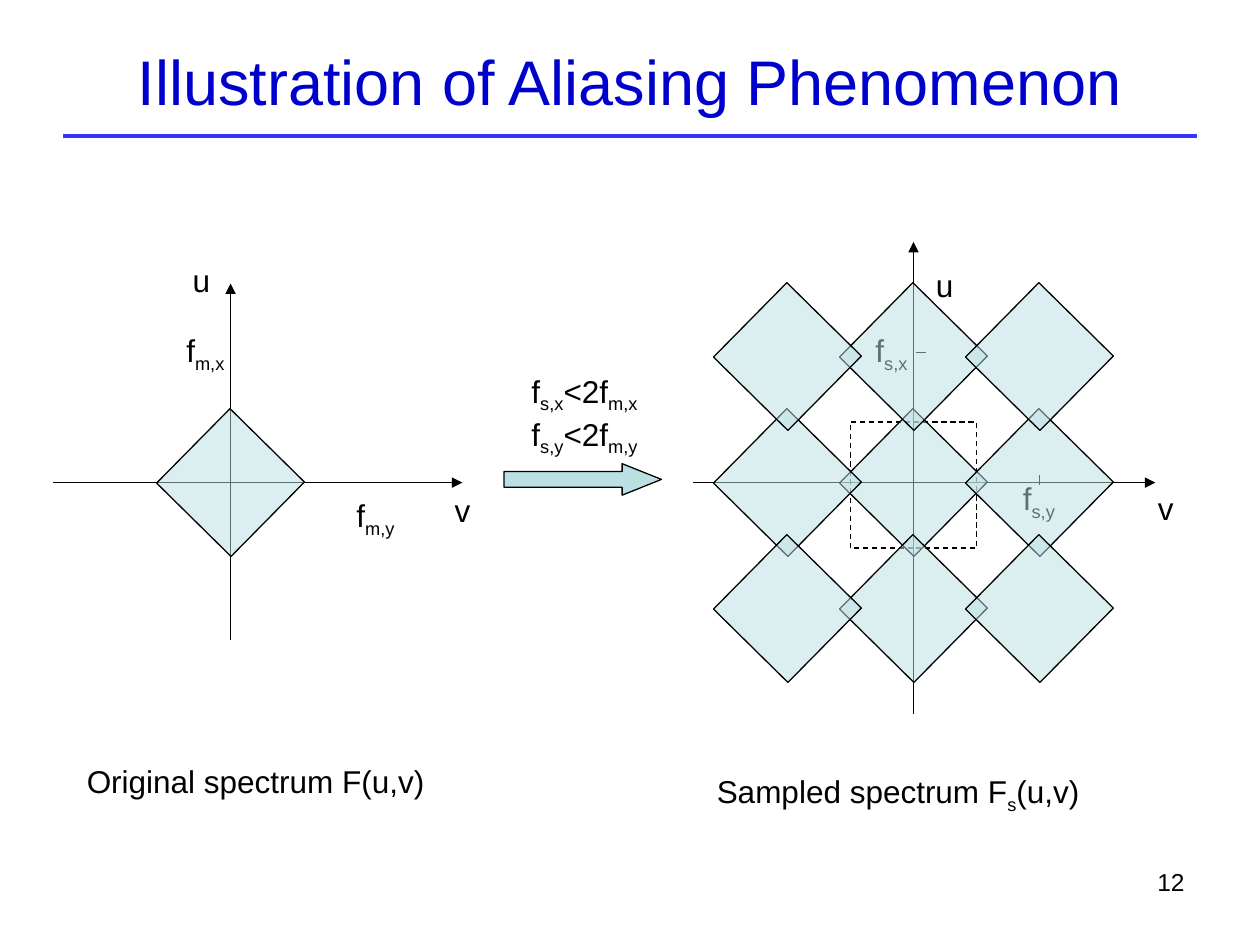
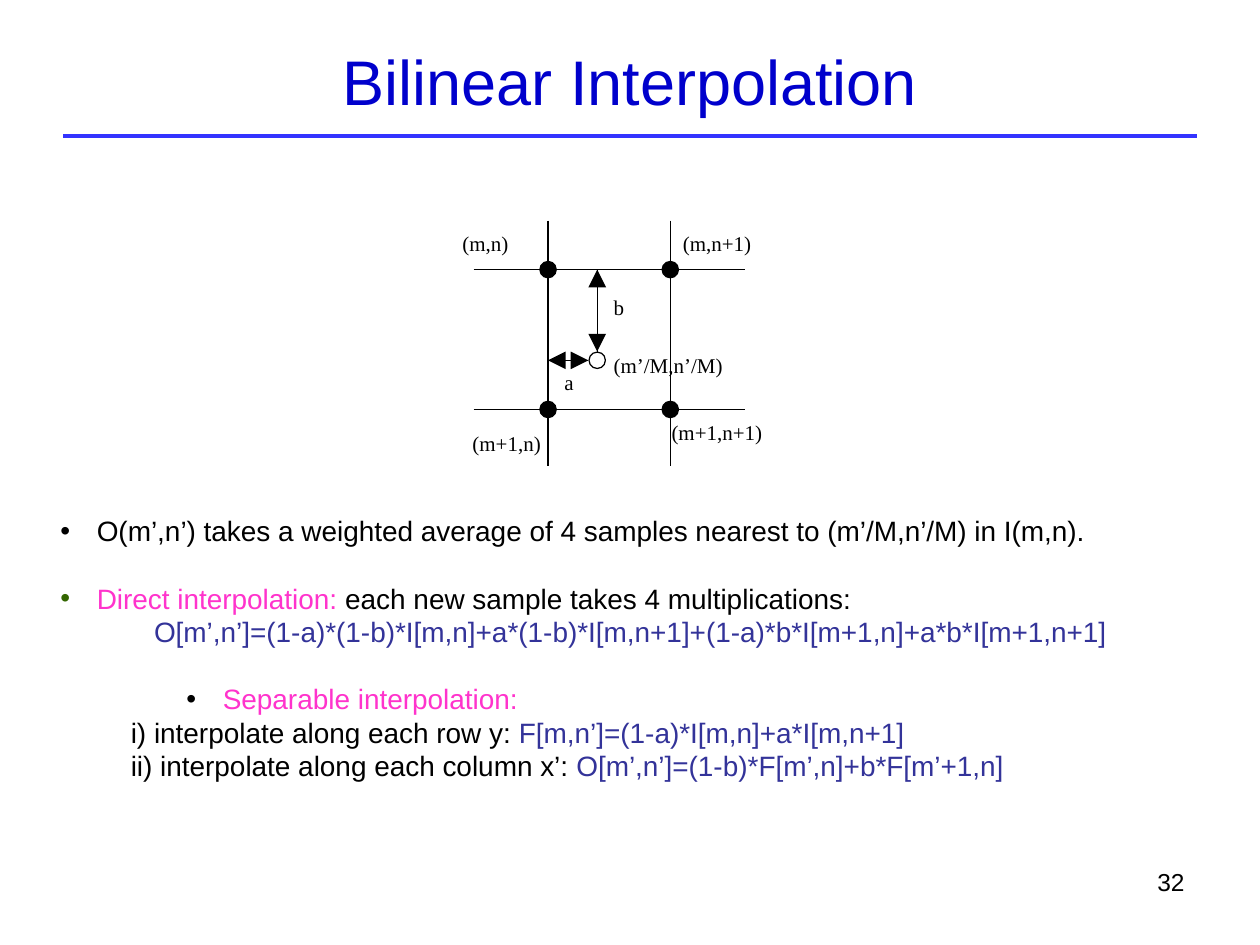
import pptx
import pptx.dml.color
import pptx.enum.dml
import pptx.enum.shapes
import pptx.enum.text
import pptx.oxml.ns
import pptx.util
from lxml import etree

Inches = pptx.util.Inches
Pt = pptx.util.Pt
Align = pptx.enum.text.PP_ALIGN
Preset = pptx.enum.shapes.MSO_SHAPE
qn = pptx.oxml.ns.qn

COLORS = {
    "title": "0000CC",
    "rule": "3333FF",
    "ink": "000000",
    "paper": "FFFFFF",
    "spectrum": "BBE0E3",
    "term": "FF33CC",
    "formula": "333399",
    "bullet": "336600",
}
SANS = "Arial"
SERIF = "Times New Roman"
LINE_PITCH = 19.2
THIN = 0.71


def rgb(color):
    return pptx.dml.color.RGBColor.from_string(COLORS[color])


def style_run(run, size, font=SANS, color="ink"):
    run.font.size = Pt(size)
    run.font.name = font
    run.font.color.rgb = rgb(color)


def add_text_frame(slide, left, top, width, height, margins=(0.1, 0.05), wrap=False):
    text_box = slide.shapes.add_textbox(
        Inches(left), Inches(top), Inches(width), Inches(height))
    text_frame = text_box.text_frame
    text_frame.word_wrap = wrap
    if not wrap:
        text_frame.auto_size = pptx.enum.text.MSO_AUTO_SIZE.SHAPE_TO_FIT_TEXT
    text_frame.margin_left = text_frame.margin_right = Inches(margins[0])
    text_frame.margin_top = text_frame.margin_bottom = Inches(margins[1])
    return text_frame


def add_line(slide, start, end, width=0.75, color="ink", arrow=False):
    connector = slide.shapes.add_connector(
        pptx.enum.shapes.MSO_CONNECTOR.STRAIGHT,
        *(Inches(value) for value in (*start, *end)))
    connector.line.color.rgb = rgb(color)
    connector.line.width = Pt(width)
    properties = connector._element.spPr
    if arrow:
        etree.SubElement(properties.find(qn("a:ln")), qn("a:tailEnd"), type="triangle")
    etree.SubElement(properties, qn("a:effectLst"))


def add_shape(slide, preset, left, top, width, height, fill=None, line_width=0.75):
    shape = slide.shapes.add_shape(
        preset, Inches(left), Inches(top), Inches(width), Inches(height))
    shape.shadow.inherit = False
    if fill:
        shape.fill.solid()
        shape.fill.fore_color.rgb = rgb(fill)
    else:
        shape.fill.background()
    shape.line.color.rgb = rgb("ink")
    shape.line.width = Pt(line_width)
    return shape


def add_label(slide, left, top, width, *lines):
    """Text between bars is set as a subscript."""
    text_frame = add_text_frame(slide, left, top, width, 0.4 * len(lines))
    for index, line in enumerate(lines):
        paragraph = text_frame.paragraphs[0] if index == 0 else text_frame.add_paragraph()
        for position, part in enumerate(line.split("|")):
            if part:
                run = paragraph.add_run()
                run.text = part
                style_run(run, 18)
                if position % 2:
                    run._r.get_or_add_rPr().set("baseline", "-25000")


def add_grid_label(slide, left, top, width, text):
    text_frame = add_text_frame(slide, left, top, width, 0.2, margins=(0, 0))
    text_frame.text = text
    style_run(text_frame.paragraphs[0].runs[0], 12, SERIF)


def add_diamond(slide, center_x, center_y, side=0.83):
    diamond = add_shape(slide, Preset.RECTANGLE, center_x - side / 2,
                        center_y - side / 2, side, side, "spectrum")
    diamond.rotation = 314.6
    color = diamond._element.spPr.find(qn("a:solidFill")).find(qn("a:srgbClr"))
    etree.SubElement(color, qn("a:alpha"), val="50000")


def add_dot(slide, center_x, center_y, fill, size=0.13):
    add_shape(slide, Preset.OVAL, center_x - size / 2, center_y - size / 2,
              size, size, fill, THIN)


def add_arrowhead(slide, tip, direction, length=0.14):
    x, y = tip
    dx, dy = direction
    base_x, base_y = x - dx * length, y - dy * length
    half = length / 2
    corners = [(base_x + sign * dy * half, base_y + sign * dx * half) for sign in (1, -1)]
    builder = slide.shapes.build_freeform(Inches(x), Inches(y))
    builder.add_line_segments([(Inches(a), Inches(b)) for a, b in corners])
    arrowhead = builder.convert_to_shape()
    arrowhead.shadow.inherit = False
    arrowhead.fill.solid()
    arrowhead.fill.fore_color.rgb = rgb("ink")
    arrowhead.line.fill.background()


def add_distance(slide, start, end, direction):
    add_line(slide, start, end, THIN)
    add_arrowhead(slide, start, tuple(-value for value in direction))
    add_arrowhead(slide, end, direction)


def set_bullet(paragraph, color, left, hanging=0.29):
    properties = paragraph._p.get_or_add_pPr()
    properties.set("marL", str(Inches(left)))
    properties.set("indent", str(-Inches(hanging)))
    bullet_color = etree.SubElement(properties, qn("a:buClr"))
    etree.SubElement(bullet_color, qn("a:srgbClr"), val=COLORS[color])
    etree.SubElement(properties, qn("a:buFont"), typeface=SANS)
    etree.SubElement(properties, qn("a:buChar"), char="•")


def add_body_line(text_frame, first, runs, left=0, bullet=None, gap=False, align=Align.LEFT):
    paragraph = text_frame.paragraphs[0] if first else text_frame.add_paragraph()
    paragraph.alignment = align
    paragraph.line_spacing = Pt(LINE_PITCH)
    if gap:
        paragraph.space_before = Pt(LINE_PITCH)
    if bullet:
        set_bullet(paragraph, bullet, left)
    elif left:
        paragraph._p.get_or_add_pPr().set("marL", str(Inches(left)))
    for text, color in runs:
        run = paragraph.add_run()
        run.text = text
        style_run(run, 16, color=color)


def add_base_slide(presentation, title, number):
    slide = presentation.slides.add_slide(presentation.slide_layouts[6])
    add_line(slide, (0.5, 1.08), (9.5, 1.08), 2.25, "rule")
    for text, box, size, color, align in (
            (number, (7.17, 6.83, 2.33, 0.52), 14, "ink", Align.RIGHT),
            (title, (0.5, 0.25, 9, 0.78), 36, "title", Align.CENTER)):
        text_frame = add_text_frame(slide, *box, wrap=True)
        text_frame.text = text
        text_frame.paragraphs[0].alignment = align
        style_run(text_frame.paragraphs[0].runs[0], size, color=color)
    text_frame.vertical_anchor = pptx.enum.text.MSO_ANCHOR.MIDDLE
    return slide


def build_aliasing(presentation):
    slide = add_base_slide(presentation, "Illustration of Aliasing Phenomenon", "12")
    axis_y, original_x, sampled_x = 3.83, 1.83, 7.25

    add_line(slide, (0.42, axis_y), (3.67, axis_y), arrow=True)
    add_line(slide, (original_x, 5.08), (original_x, 2.25), arrow=True)
    add_diamond(slide, original_x, axis_y)

    add_line(slide, (5.5, axis_y), (9.17, axis_y), arrow=True)
    add_line(slide, (sampled_x, 5.67), (sampled_x, 1.92), arrow=True)
    baseband = add_shape(slide, Preset.RECTANGLE, 6.75, 3.35, 1, 1)
    baseband.line.dash_style = pptx.enum.dml.MSO_LINE.DASH
    add_line(slide, (8.25, 3.77), (8.25, 3.85))
    add_line(slide, (7.27, 2.8), (7.35, 2.8))

    for left, top, width, text in (
            (1.43, 2.02, 0.34, "u"),
            (3.51, 3.85, 0.32, "v"),
            (9.09, 3.83, 0.32, "v"),
            (7.33, 2.06, 0.34, "u"),
            (1.38, 2.58, 0.51, "f|m,x"),
            (2.73, 3.89, 0.51, "f|m,y"),
            (6.85, 2.58, 0.47, "f|s,x"),
            (8.02, 3.75, 0.47, "f|s,y"),
            (0.59, 6, 2.88, "Original spectrum F(u,v)"),
            (5.59, 6.08, 3.08, "Sampled spectrum F|s|(u,v)")):
        add_label(slide, left, top, width, text)

    sampling_arrow = add_shape(slide, Preset.RIGHT_ARROW, 4, 3.68, 1.25, 0.25, "spectrum")
    sampling_arrow.adjustments[0] = 0.5
    sampling_arrow.adjustments[1] = 1.25
    add_label(slide, 4.12, 2.9, 1.04, "f|s,x|<2f|m,x", "f|s,y|<2f|m,y")

    for row in (0, 1, -1):
        for column in (0, 1, -1):
            add_diamond(slide, sampled_x + column, axis_y + row)


def build_interpolation(presentation):
    slide = add_base_slide(presentation, "Bilinear Interpolation", "32")
    text_frame = add_text_frame(slide, 0.38, 4.03, 9.25, 2.24, wrap=True)
    body_lines = (
        dict(runs=[("O(m’,n’) takes a weighted average of 4 samples nearest to "
                    "(m’/M,n’/M) in I(m,n).", "ink")], left=0.29, bullet="ink"),
        dict(runs=[("Direct interpolation:", "term"),
                   (" each new sample takes 4 multiplications:", "ink")],
             left=0.29, bullet="bullet", gap=True),
        dict(runs=[("O[m’,n’]=(1-a)*(1-b)*I[m,n]+a*(1-b)*I[m,n+1]"
                    "+(1-a)*b*I[m+1,n]+a*b*I[m+1,n+1]", "formula")], align=Align.CENTER),
        dict(runs=[("Separable interpolation:", "term")], left=1.29, bullet="ink", gap=True),
        dict(runs=[("i) interpolate along each row y: ", "ink"),
                   ("F[m,n’]=(1-a)*I[m,n]+a*I[m,n+1]", "formula")], left=0.56),
        dict(runs=[("ii) interpolate along each column x’: ", "ink"),
                   ("O[m’,n’]=(1-b)*F[m’,n]+b*F[m’+1,n]", "formula")], left=0.56),
    )
    for index, body_line in enumerate(body_lines):
        add_body_line(text_frame, index == 0, **body_line)

    rows, columns = (2.14, 3.25), (4.35, 5.32)
    sample_x, sample_y = 4.74, 2.86
    for y in rows:
        add_line(slide, (3.76, y), (5.91, y), THIN)
    for x in columns:
        add_line(slide, (x, 1.75), (x, 3.7), THIN)
    add_dot(slide, sample_x, sample_y, "paper")
    add_distance(slide, (columns[0], sample_y), (4.67, sample_y), (1, 0))
    add_distance(slide, (sample_x, rows[0]), (sample_x, 2.79), (0, 1))
    for y in rows:
        for x in columns:
            add_dot(slide, x, y, "ink")

    for left, top, width, text in (
            (4.48, 2.93, 0.08, "a"),
            (4.87, 2.34, 0.09, "b"),
            (3.75, 3.42, 0.56, "(m+1,n)"),
            (4.87, 2.8, 0.89, "(m’/M,n’/M)"),
            (3.67, 1.83, 0.38, "(m,n)"),
            (5.42, 1.83, 0.56, "(m,n+1)"),
            (5.33, 3.33, 0.74, "(m+1,n+1)")):
        add_grid_label(slide, left, top, width, text)


def main():
    presentation = pptx.Presentation()
    presentation.slide_width = Inches(10)
    presentation.slide_height = Inches(7.5)
    build_aliasing(presentation)
    build_interpolation(presentation)
    presentation.save("out.pptx")


if __name__ == "__main__":
    main()
